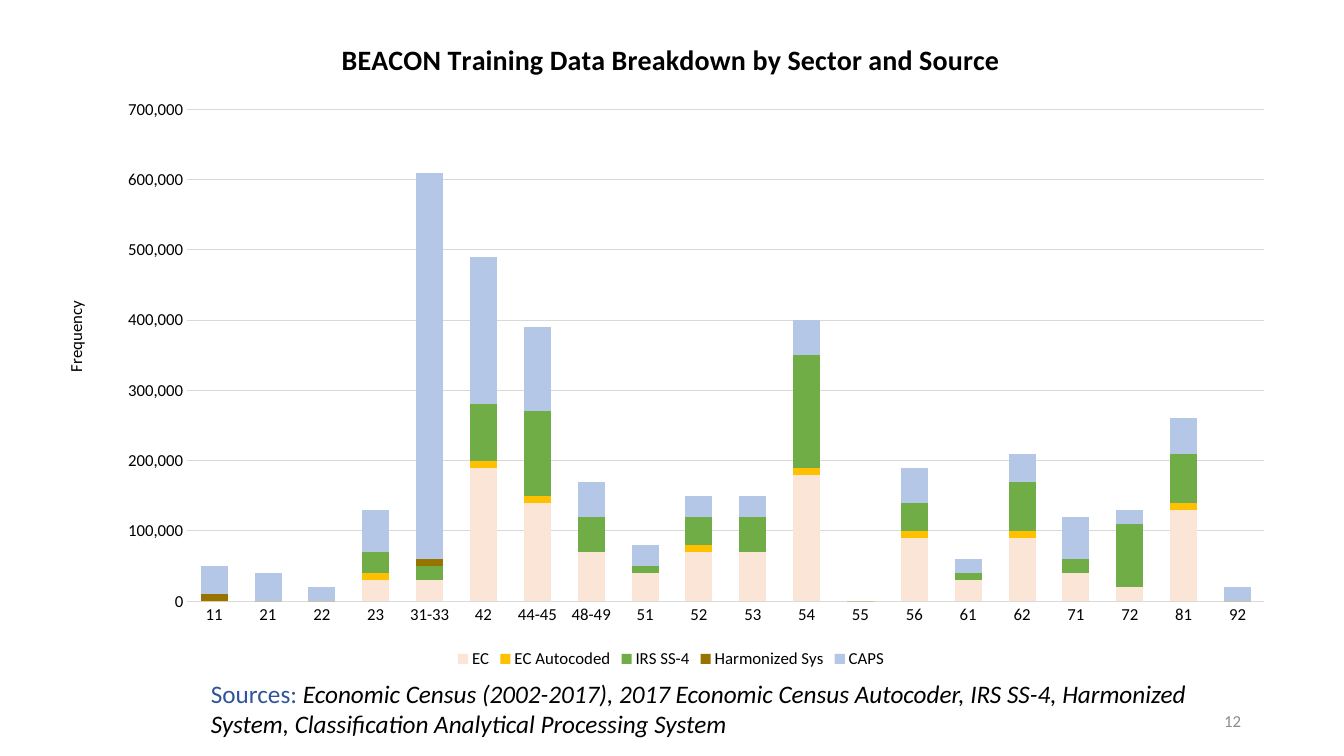
"""Build a slide with a stacked column chart of training data by sector and source."""
from lxml import etree
from pptx import Presentation, util as u
from pptx.chart.data import CategoryChartData
from pptx.dml.color import RGBColor
from pptx.enum import chart as charts, text
from pptx.oxml.ns import qn

TITLE = "BEACON Training Data Breakdown by Sector and Source"
AXIS_TITLE = "Frequency"
SOURCES = [
    ("Sources: ", "accent", False),
    ("Economic Census (2002-2017), 2017 Economic Census Autocoder, IRS SS-4, Harmonized "
     "System, Classification Analytical Processing System", "ink", True),
]
PAGE_NUMBER = [("12", "muted", False)]
SECTORS = ["11", "21", "22", "23", "31-33", "42", "44-45", "48-49", "51", "52", "53",
           "54", "55", "56", "61", "62", "71", "72", "81", "92"]
TEN_THOUSANDS = {
    "EC": [0, 0, 0, 3, 3, 19, 14, 7, 4, 7, 7, 18, 0, 9, 3, 9, 4, 2, 13, 0],
    "EC Autocoded": [0, 0, 0, 1, 0, 1, 1, 0, 0, 1, 0, 1, 0, 1, 0, 1, 0, 0, 1, 0],
    "IRS SS-4": [0, 0, 0, 3, 2, 8, 12, 5, 1, 4, 5, 16, 0, 4, 1, 7, 2, 9, 7, 0],
    "Harmonized Sys": [1, 0, 0, 0, 1, 0, 0, 0, 0, 0, 0, 0, 0, 0, 0, 0, 0, 0, 0, 0],
    "CAPS": [4, 4, 2, 6, 55, 21, 12, 5, 3, 3, 3, 5, 0, 5, 2, 4, 6, 2, 5, 2],
}
THEME = {
    "font": "Calibri", "ink": "000000", "accent": "2F5597", "muted": "8C8C8C",
    "grid": "D9D9D9", "series": ["FBE5D6", "FFC000", "70AD47", "997300", "B4C7E7"],
    "title": 20, "body": 18, "label": 12, "line": 0.75,
}
SLIDE = (1344, 756)
CHART = (54, 16, 1234, 657)
PLOT = (187, 109, 1077, 492)
TITLE_AT = (337, 35)
AXIS_TITLE_AT = (62, 298)
SOURCES_BOX = (201, 673, 1050, 72)
NUMBER_BOX = (949, 701, 302, 40)


def px(length):
    return round(length * 914400 / 100.8)


def color(name):
    return RGBColor.from_string(THEME.get(name, name))


def style_font(font, size, name="ink", bold=False, italic=False):
    font.name, font.size = THEME["font"], u.Pt(size)
    font.bold, font.italic = bold, italic
    font.color.rgb = color(name)


def style_line(line, name):
    line.color.rgb = color(name)
    line.width = u.Pt(THEME["line"])


def add_text(slide, box, runs, size, align, anchor):
    frame = slide.shapes.add_textbox(*map(px, box)).text_frame
    frame.word_wrap, frame.vertical_anchor = True, anchor
    paragraph = frame.paragraphs[0]
    paragraph.alignment = align
    for words, name, italic in runs:
        run = paragraph.add_run()
        run.text = words
        style_font(run.font, size, name, italic=italic)


def set_layout(parent, index, place, inner=False):
    """Pin a chart part at slide pixels, as fractions of the chart frame."""
    for old in parent.findall(qn("c:layout")):
        parent.remove(old)
    layout = etree.Element(qn("c:layout"))
    manual = etree.SubElement(layout, qn("c:manualLayout"))
    left, top, width, height = CHART
    values = [("xMode", "edge"), ("yMode", "edge"),
              ("x", round((place[0] - left) / width, 3)),
              ("y", round((place[1] - top) / height, 3))]
    if inner:
        values = [("layoutTarget", "inner"), *values,
                  ("w", round(place[2] / width, 3)), ("h", round(place[3] / height, 3))]
    for tag, value in values:
        etree.SubElement(manual, qn(f"c:{tag}")).set("val", str(value))
    parent.insert(index, layout)


def set_title(title, words, size, bold, place):
    run = title.text_frame.paragraphs[0].add_run()
    run.text = words
    style_font(run.font, size, bold=bold)
    set_layout(title._element, 1, place)


def add_sector_chart(slide):
    data = CategoryChartData(number_format="#,##0")
    data.categories = SECTORS
    for name, values in TEN_THOUSANDS.items():
        data.add_series(name, [value * 10000 for value in values])
    chart = slide.shapes.add_chart(
        charts.XL_CHART_TYPE.COLUMN_STACKED, *map(px, CHART), data).chart
    style_font(chart.font, THEME["label"])
    chart.has_title = True
    set_title(chart.chart_title, TITLE, THEME["title"], True, TITLE_AT)

    plot = chart.plots[0]
    plot.gap_width, plot.overlap, plot.vary_by_categories = 100, 100, False
    for series, name in zip(plot.series, THEME["series"]):
        series.format.fill.solid()
        series.format.fill.fore_color.rgb = color(name)

    sectors, frequency = chart.category_axis, chart.value_axis
    for axis in (sectors, frequency):
        axis.major_tick_mark = axis.minor_tick_mark = charts.XL_TICK_MARK.NONE
        style_font(axis.tick_labels.font, THEME["label"])
    style_line(sectors.format.line, "grid")
    frequency.format.line.fill.background()
    style_line(frequency.major_gridlines.format.line, "grid")
    frequency.minimum_scale, frequency.maximum_scale = 0, 700000
    frequency.major_unit = 100000
    frequency.tick_labels.number_format = "#,##0"
    frequency.tick_labels.number_format_is_linked = False
    set_title(frequency.axis_title, AXIS_TITLE, THEME["label"], False, AXIS_TITLE_AT)
    body = frequency.axis_title.text_frame._txBody.bodyPr
    body.set("rot", "-5400000")
    body.set("vert", "horz")

    chart.has_legend = True
    chart.legend.position = charts.XL_LEGEND_POSITION.BOTTOM
    chart.legend.include_in_layout = False
    style_font(chart.legend.font, THEME["label"])
    set_layout(chart._chartSpace.chart.plotArea, 0, PLOT, inner=True)


def main():
    presentation = Presentation()
    presentation.slide_width, presentation.slide_height = map(px, SLIDE)
    slide = presentation.slides.add_slide(presentation.slide_layouts[6])
    add_text(slide, NUMBER_BOX, PAGE_NUMBER, THEME["label"],
             text.PP_ALIGN.RIGHT, text.MSO_ANCHOR.MIDDLE)
    add_text(slide, SOURCES_BOX, SOURCES, THEME["body"],
             text.PP_ALIGN.LEFT, text.MSO_ANCHOR.TOP)
    add_sector_chart(slide)
    presentation.save("out.pptx")


if __name__ == "__main__":
    main()
